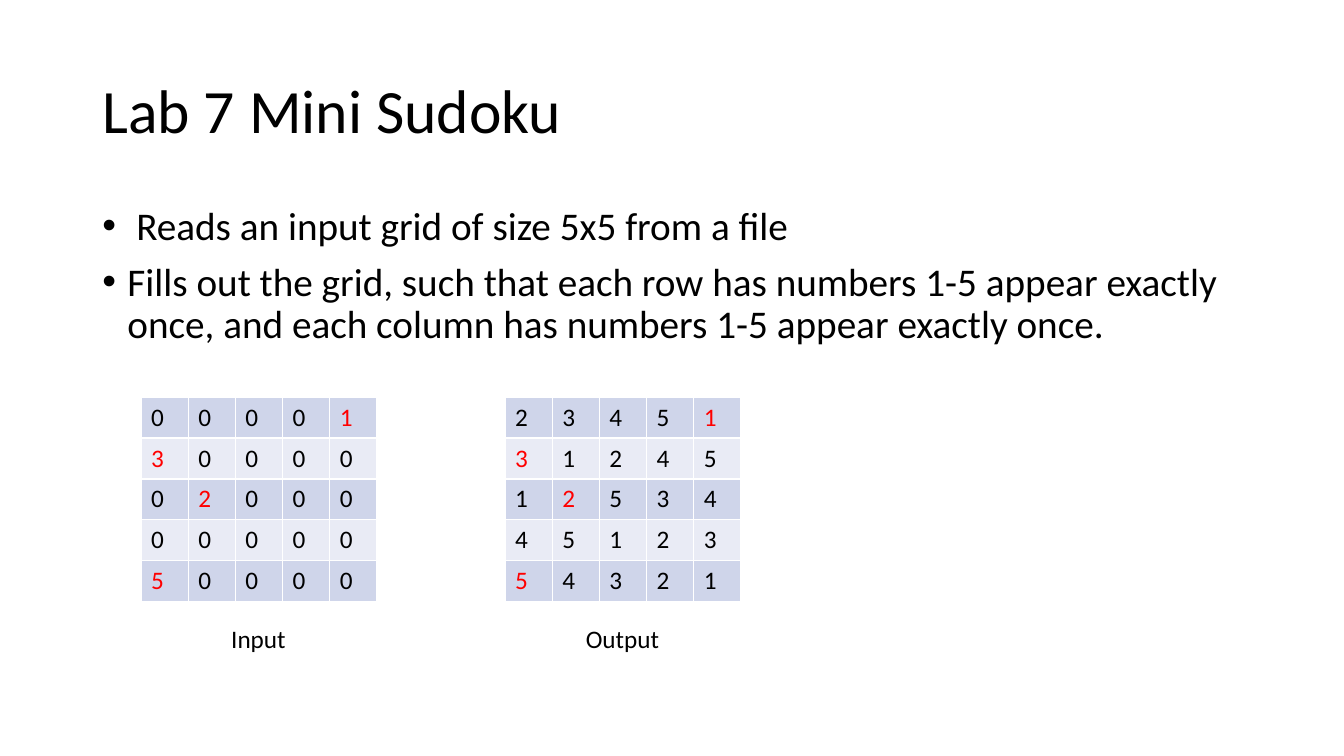
from lxml import etree
from pptx import Presentation
from pptx.dml.color import RGBColor
from pptx.enum import text
from pptx.oxml import ns
from pptx.util import Pt

COLORS = {"ink": "000000", "given": "FF0000", "band": "CFD5EA", "plain": "E9EBF5"}


def write(p, words, size, color="ink"):
    r = p.add_run()
    r.text = words
    for name, value in {"name": "Calibri", "size": Pt(size)}.items():
        setattr(r.font, name, value)
    r.font.color.rgb = RGBColor.from_string(COLORS[color])


def add_box(left, top, width, height, wrap=True):
    tf = s.shapes.add_textbox(Pt(left), Pt(top), Pt(width), Pt(height)).text_frame
    tf.word_wrap = wrap
    return tf


prs = Presentation()
prs.slide_width, prs.slide_height = Pt(960), Pt(540)
s = prs.slides.add_slide(prs.slide_layouts[6])

# Title
tf = add_box(66, 28.75, 828, 104.4)
tf.vertical_anchor = text.MSO_ANCHOR.MIDDLE
tf.paragraphs[0].line_spacing = 0.9
write(tf.paragraphs[0], "Lab 7 Mini Sudoku", 44)

# Bulleted rules
rules = [
    " Reads an input grid of size 5x5 from a file",
    "Fills out the grid, such that each row has numbers 1-5 appear exactly once, "
    "and each column has numbers 1-5 appear exactly once.",
]
tf = add_box(66, 143.75, 828, 112.3)
for i, rule in enumerate(rules):
    p = tf.add_paragraph() if i else tf.paragraphs[0]
    for name, value in {"line_spacing": 0.9, "space_before": Pt(10)}.items():
        setattr(p, name, value)
    pPr = p._p.get_or_add_pPr()
    pPr.set("marL", str(Pt(18)))
    pPr.set("indent", str(-Pt(18)))
    etree.SubElement(pPr, ns.qn("a:buFont")).set("typeface", "Arial")
    etree.SubElement(pPr, ns.qn("a:buChar")).set("char", "•")
    write(p, rule, 28)

# Sudoku grids with captions; the given numbers are red
CELL_W, CELL_H, GRID_TOP = 33.7, 29.2, 283.7
GRID_W, GRID_H = 5 * CELL_W, 5 * CELL_H
GIVEN = {(0, 4), (1, 0), (2, 1), (4, 0)}
grids = [
    ("Input", 100.8, 54, ["00001", "30000", "02000", "00000", "50000"]),
    ("Output", 360.8, 67.4, ["23451", "31245", "12534", "45123", "54321"]),
]
for caption, left, caption_w, rows in grids:
    table = s.shapes.add_table(5, 5, Pt(left), Pt(GRID_TOP), Pt(GRID_W), Pt(GRID_H)).table
    table.first_row = False
    for y, row in enumerate(rows):
        table.rows[y].height = Pt(CELL_H)
        table.columns[y].width = Pt(CELL_W)
        for x, digit in enumerate(row):
            cell = table.cell(y, x)
            cell.fill.solid()
            cell.fill.fore_color.rgb = RGBColor.from_string(COLORS["plain" if y % 2 else "band"])
            write(cell.text_frame.paragraphs[0], digit, 18, "given" if (y, x) in GIVEN else "ink")

    tf = add_box(left + (GRID_W - caption_w) / 2, 442, caption_w, 29, wrap=False)
    tf.auto_size = text.MSO_AUTO_SIZE.SHAPE_TO_FIT_TEXT
    write(tf.paragraphs[0], caption, 18)

prs.save("out.pptx")
